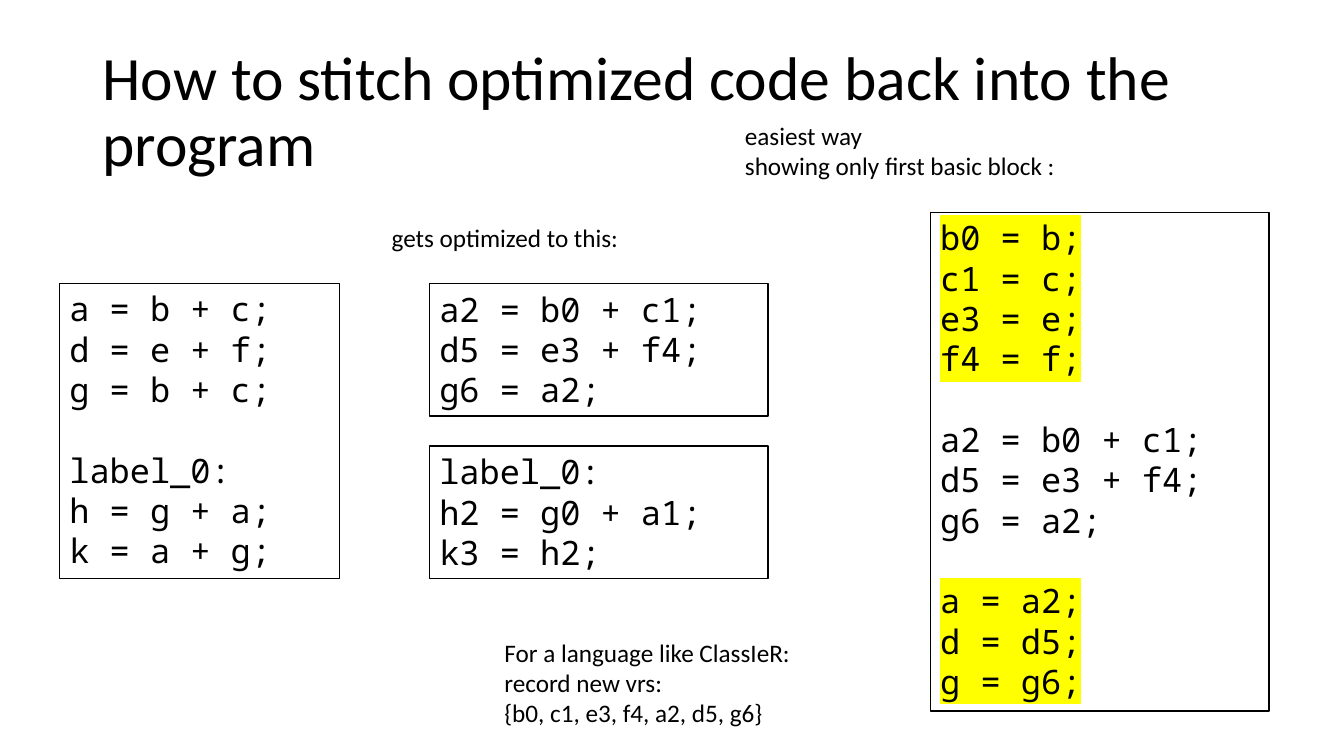
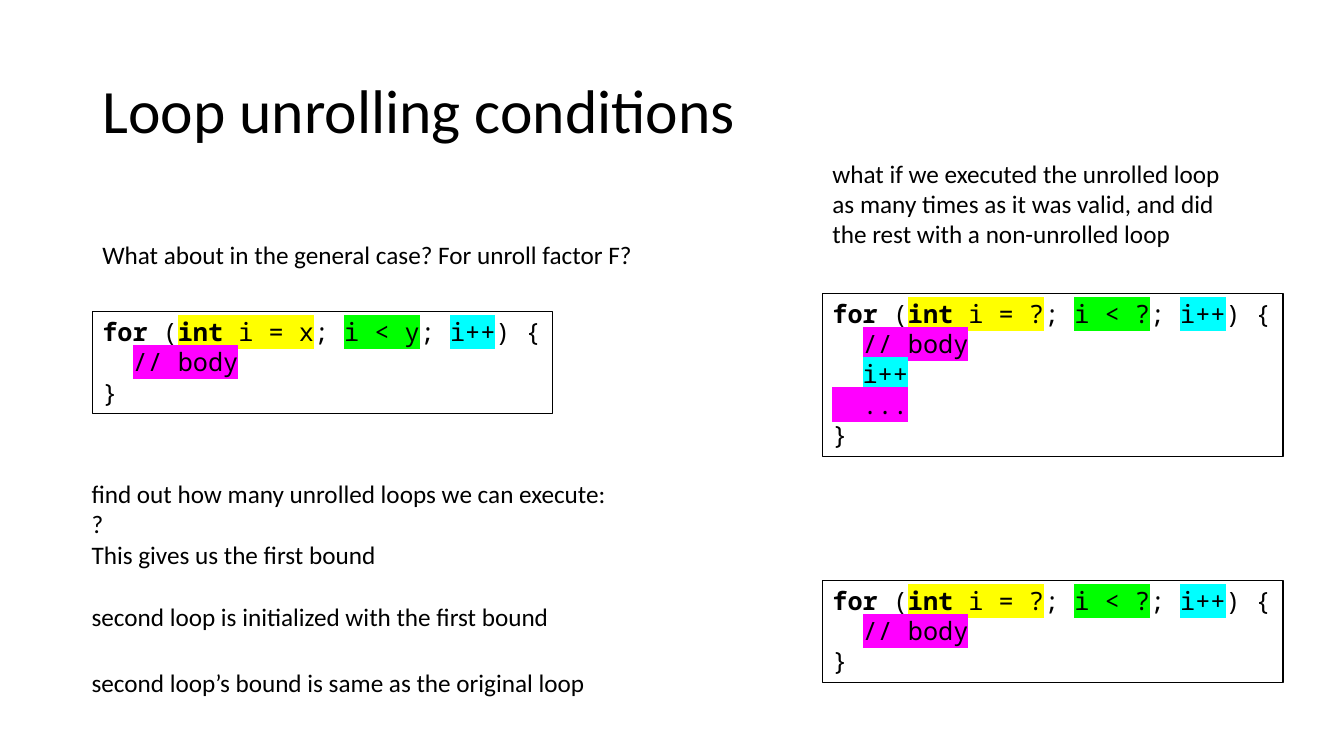
import dataclasses

import lxml.etree
import pptx
import pptx.dml.color
import pptx.enum.shapes
import pptx.enum.text
import pptx.oxml.ns
import pptx.util

Pt = pptx.util.Pt
RGBColor = pptx.dml.color.RGBColor
Fit = pptx.enum.text.MSO_AUTO_SIZE
Anchor = pptx.enum.text.MSO_ANCHOR
LEFT = pptx.enum.text.PP_ALIGN.LEFT

BLACK = RGBColor(0x00, 0x00, 0x00)
WHITE = RGBColor(0xFF, 0xFF, 0xFF)
YELLOW = RGBColor(0xFF, 0xFF, 0x00)
GREEN = RGBColor(0x00, 0xFF, 0x00)
CYAN = RGBColor(0x00, 0xFF, 0xFF)
PINK = RGBColor(0xFF, 0x00, 0xFF)

SANS = "Calibri"
MONO = "Noto Sans Mono"
GAP = 28.8  # one line of 24 pt code
TAB = 21.6  # two letters of 18 pt code


@dataclasses.dataclass
class Run:
    text: str
    mark: RGBColor = None
    bold: bool = False


@dataclasses.dataclass
class Line:
    runs: list
    before: float = 0
    indent: float = 0


def plain(*texts, mark=None, before=0):
    """Make one line per text; the gap goes before the first."""
    return [Line([Run(text, mark)], 0 if i else before)
            for i, text in enumerate(texts)]


def loop(start, bound, *body):
    """Make the lines of a for loop around the body lines."""
    head = [Run("for", bold=True), Run(" ("), Run("int", YELLOW, True),
            Run(f" i = {start}", YELLOW), Run("; "),
            Run(f"i < {bound}", GREEN), Run("; "), Run("i++", CYAN),
            Run(") {")]
    first = Line([Run("// body", PINK)], indent=TAB)
    return [Line(head), first, *body, *plain("}")]


class Deck:
    def __init__(self):
        self.file = pptx.Presentation()
        self.file.slide_width = Pt(960)
        self.file.slide_height = Pt(540)
        self.slide = None

    def start(self, title):
        """Add a slide and set its title."""
        self.slide = self.file.slides.add_slide(self.file.slide_layouts[5])
        shape = self.slide.shapes.title
        shape.left, shape.top = Pt(66), Pt(28.8)
        shape.width, shape.height = Pt(828), Pt(104.4)
        self.fill(shape, plain(title), SANS, 44, True, Fit.NONE)
        shape.text_frame.vertical_anchor = Anchor.MIDDLE
        shape.text_frame.paragraphs[0].line_spacing = 0.9

    def fill(self, shape, lines, font, size, wrap, fit=Fit.SHAPE_TO_FIT_TEXT):
        """Put the lines into the shape, run by run."""
        frame = shape.text_frame
        frame.word_wrap = wrap
        frame.auto_size = fit
        frame.vertical_anchor = Anchor.TOP
        for i, line in enumerate(lines):
            para = frame.add_paragraph() if i else frame.paragraphs[0]
            para.alignment = LEFT
            if line.before:
                para.space_before = Pt(line.before)
            if line.indent:
                para._p.get_or_add_pPr().set("marL", str(Pt(line.indent)))
            for part in line.runs:
                self.add_run(para, part, font, size)

    def add_run(self, para, part, font, size):
        run = para.add_run()
        run.text = part.text
        run.font.size = Pt(size)
        run.font.bold = part.bold
        run.font.color.rgb = BLACK
        run.font.name = font
        if part.mark is not None:
            qn = pptx.oxml.ns.qn
            mark = lxml.etree.Element(qn("a:highlight"))
            tint = lxml.etree.SubElement(mark, qn("a:srgbClr"))
            tint.set("val", str(part.mark))
            run._r.rPr.find(qn("a:solidFill")).addnext(mark)

    def note(self, left, top, width, *texts):
        height = 7.2 + 21.6 * len(texts)
        box = self.slide.shapes.add_textbox(
            Pt(left), Pt(top), Pt(width), Pt(height))
        self.fill(box, plain(*texts), SANS, 18, False)

    def code(self, left, top, width, height, lines, size, solid):
        """Add a framed code box; only a solid one has a fill and wraps."""
        box = self.slide.shapes.add_shape(
            pptx.enum.shapes.MSO_SHAPE.RECTANGLE,
            Pt(left), Pt(top), Pt(width), Pt(height))
        box.shadow.inherit = False
        if solid:
            box.fill.solid()
            box.fill.fore_color.rgb = WHITE
        else:
            box.fill.background()
        box.line.color.rgb = BLACK
        box.line.width = Pt(1 if solid else 0.75)
        self.fill(box, lines, MONO, size, solid)

    def block(self, left, top, width, height, lines):
        self.code(left, top, width, height, lines, 24, True)

    def sample(self, left, top, height, lines):
        self.code(left, top, 329, height, lines, 18, False)


def stitch(deck):
    deck.start("How to stitch optimized code back into the program")
    first = ("a2 = b0 + c1;", "d5 = e3 + f4;", "g6 = a2;")
    deck.block(42.5, 202.4, 200, 211, [
        *plain("a = b + c;", "d = e + f;", "g = b + c;"),
        *plain("label_0:", "h = g + a;", "k = a + g;", before=GAP)])
    deck.block(664.5, 151.7, 242, 356.2, [
        *plain("b0 = b;", "c1 = c;", "e3 = e;", "f4 = f;", mark=YELLOW),
        *plain(*first, before=GAP),
        *plain("a = a2;", "d = d5;", "g = g6;", mark=YELLOW, before=GAP)])
    deck.block(306.7, 318.7, 242, 94.5,
               plain("label_0:", "h2 = g0 + a1;", "k3 = h2;"))
    deck.note(272.7, 155, 178.6, "gets optimized to this:")
    deck.block(306.7, 202.7, 242, 94.5, plain(*first))
    deck.note(525, 82.4, 238.3,
              "easiest way", "showing only first basic block :")
    deck.note(353.2, 451.7, 221, "For a language like ClassIeR:",
              "record new vrs:", "{b0, c1, e3, f4, a2, d5, g6}")


def unroll(deck):
    deck.start("Loop unrolling conditions")
    near, far = 58.3, 587.5
    again = Line([Run("i++", CYAN)], indent=TAB)
    deck.sample(far, 209.5, 116.6,
                loop("?", "?", again, *plain("  ...", mark=PINK)))
    deck.sample(far, 414.5, 72.7, loop("?", "?"))
    deck.note(far, 109.5, 295, "what if we executed the unrolled loop",
              "as many times as it was valid, and did",
              "the rest with a non-unrolled loop")
    deck.note(66, 167.2, 397.4,
              "What about in the general case? For unroll factor F?")
    deck.sample(66, 222.5, 72.7, loop("x", "y"))
    deck.note(near, 338.2, 386.6,
              "find out how many unrolled loops we can execute:",
              "?", "This gives us the first bound")
    deck.note(near, 425.7, 345,
              "second loop is initialized with the first bound")
    deck.note(near, 473.2, 375,
              "second loop’s bound is same as the original loop")


def main():
    deck = Deck()
    stitch(deck)
    unroll(deck)
    deck.file.save("out.pptx")


if __name__ == "__main__":
    main()
